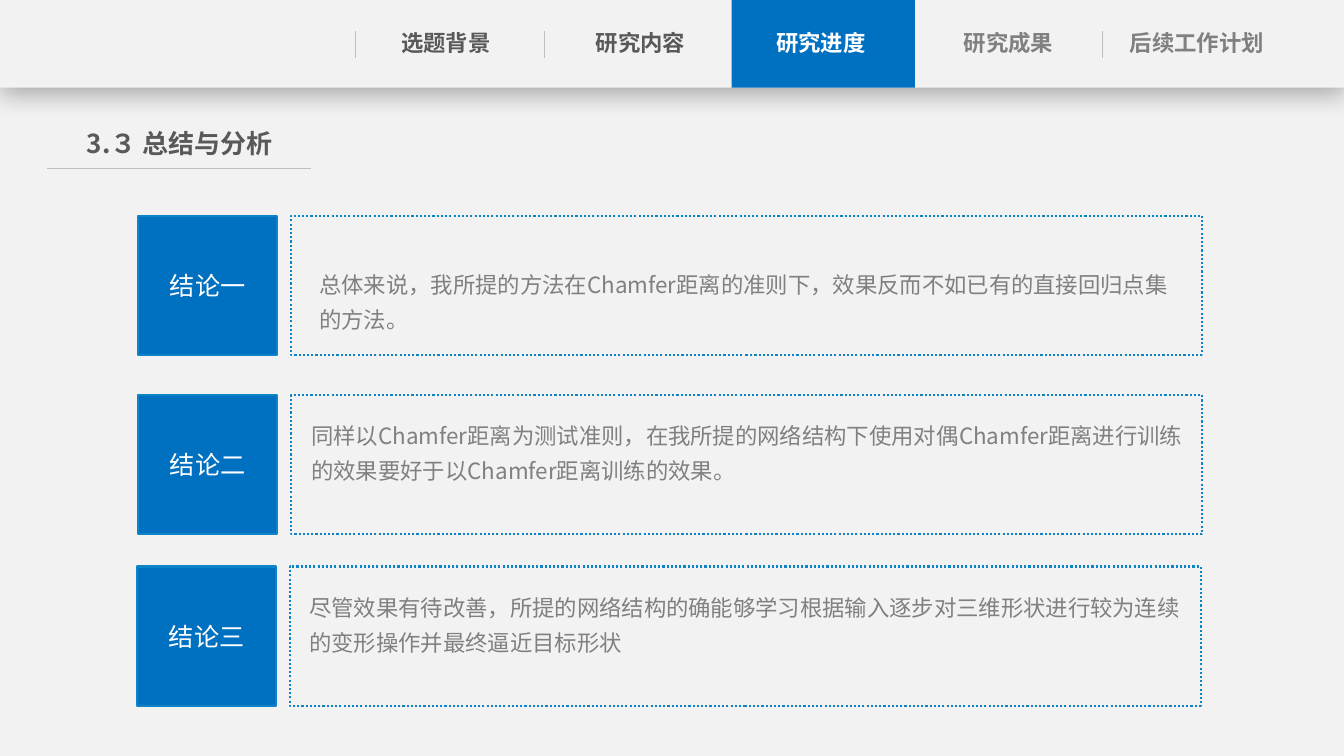
from dataclasses import dataclass

from lxml.etree import SubElement
from pptx import Presentation
from pptx.dml.color import RGBColor as Rgb
from pptx.enum.dml import MSO_LINE as Dash
from pptx.enum.shapes import MSO_CONNECTOR as Connector, MSO_SHAPE as Preset
from pptx.enum.text import MSO_ANCHOR as Anchor, MSO_AUTO_SIZE as AutoSize, PP_ALIGN as Align
from pptx.oxml.ns import qn
from pptx.util import Pt


@dataclass(frozen=True)
class Theme:
    font: str = "Noto Sans CJK SC"
    paper: str = "F2F2F2"
    blue: str = "0070C0"
    edge: str = "0D84C8"
    rule: str = "BFBFBF"
    dark: str = "595959"
    gray: str = "808080"
    white: str = "FFFFFF"
    shadow: str = "000000"
    title_size: float = 18.6
    label_size: float = 18
    text_size: float = 16


@dataclass(frozen=True)
class Box:
    left: float
    top: float
    width: float
    height: float

    def lengths(self) -> tuple:
        return Pt(self.left), Pt(self.top), Pt(self.width), Pt(self.height)


@dataclass(frozen=True)
class Tab:
    name: str
    left: float
    width: float
    color: str


@dataclass(frozen=True)
class Conclusion:
    label: str
    text: str
    left: float
    frame_left: float
    top: float
    text_box: Box


THEME = Theme()
SLIDE_WIDTH, SLIDE_HEIGHT = 960, 540
NAV_HEIGHT = 62.64
CARD_SIDE = 99.36
FRAME_WIDTH = 650.88

TABS = [
    Tab("选题背景", 265.68, 105.84, THEME.dark),
    Tab("研究内容", 397.44, 120.24, THEME.dark),
    Tab("研究进度", 533.52, 105.84, THEME.white),
    Tab("研究成果", 667.44, 105.84, THEME.gray),
    Tab("后续工作计划", 802.08, 105.84, THEME.gray),
]
TAB_DIVIDERS = [254.16, 388.8, 787.68]

CONCLUSIONS = [
    Conclusion(
        "结论一",
        "总体来说，我所提的方法在Chamfer距离的准则下，效果反而不如已有的直接回归点集的方法。",
        98.64, 207.9, 154.08, Box(221.04, 184.32, 629.28, 57.6)),
    Conclusion(
        "结论二",
        "同样以Chamfer距离为测试准则，在我所提的网络结构下使用对偶Chamfer距离进行训练的效果要好于以Chamfer距离训练的效果。",
        98.64, 207.9, 282.24, Box(215.28, 292.32, 637.2, 57.6)),
    Conclusion(
        "结论三",
        "尽管效果有待改善，所提的网络结构的确能够学习根据输入逐步对三维形状进行较为连续的变形操作并最终逼近目标形状",
        97.92, 206.9, 404.64, Box(213.84, 415.44, 637.2, 57.6)),
]


def write(shape, text: str, size: float, color: str, bold: bool = False,
          align=Align.CENTER, anchor=Anchor.TOP, side_inset: float = 0,
          spacing: float = 1.0) -> None:
    frame = shape.text_frame
    frame.text = text
    frame.word_wrap = True
    frame.auto_size = AutoSize.NONE
    frame.vertical_anchor = anchor
    frame.margin_left = frame.margin_right = Pt(side_inset)
    frame.margin_top = frame.margin_bottom = Pt(3.6)
    paragraph = frame.paragraphs[0]
    paragraph.alignment = align
    paragraph.line_spacing = spacing
    for run in paragraph.runs:
        font = run.font
        font.size = Pt(size)
        font.bold = bold
        font.color.rgb = Rgb.from_string(color)
        font.name = THEME.font
        SubElement(font._element, qn("a:ea"), typeface=THEME.font)


def add_rect(slide, box: Box, fill: str | None = None, edge: str | None = None,
             dotted: bool = False):
    rect = slide.shapes.add_shape(Preset.RECTANGLE, *box.lengths())
    rect.shadow.inherit = False
    if fill:
        rect.fill.solid()
        rect.fill.fore_color.rgb = Rgb.from_string(fill)
    else:
        rect.fill.background()
    if edge:
        rect.line.color.rgb = Rgb.from_string(edge)
        rect.line.width = Pt(1.5)
        if dotted:
            rect.line.dash_style = Dash.ROUND_DOT
    else:
        rect.line.fill.background()
    return rect


def add_rule(slide, x1: float, y1: float, x2: float, y2: float) -> None:
    rule = slide.shapes.add_connector(Connector.STRAIGHT, Pt(x1), Pt(y1), Pt(x2), Pt(y2))
    rule.line.color.rgb = Rgb.from_string(THEME.rule)
    rule.line.width = Pt(0.5)
    SubElement(rule._element.spPr, qn("a:effectLst"))


def cast_shadow(shape) -> None:
    effects = shape._element.spPr.find(qn("a:effectLst"))
    shadow = SubElement(effects, qn("a:outerShdw"), blurRad=str(Pt(18)), dist=str(Pt(4)),
                        dir="5400000", algn="t", rotWithShape="0")
    color = SubElement(shadow, qn("a:srgbClr"), val=THEME.shadow)
    SubElement(color, qn("a:alpha"), val="29000")


def add_heading(slide) -> None:
    title = slide.shapes.title
    title.left, title.top, title.width, title.height = Box(54, 87.12, 149.04, 30.24).lengths()
    write(title, "3.３ 总结与分析", THEME.title_size, THEME.dark, bold=True)
    add_rule(slide, 33.84, 120.24, 222.48, 120.24)


def add_navigation(slide) -> None:
    bar = add_rect(slide, Box(0, 0, SLIDE_WIDTH, NAV_HEIGHT), THEME.paper)
    cast_shadow(bar)
    add_rect(slide, Box(522.5, 0, 131.04, NAV_HEIGHT), THEME.blue)
    for x in TAB_DIVIDERS:
        add_rule(slide, x, 22.32, x, 41.76)
    for tab in TABS:
        caption = slide.shapes.add_textbox(*Box(tab.left, 17.28, tab.width, 27.36).lengths())
        write(caption, tab.name, THEME.text_size, tab.color, bold=True)


def add_conclusion(slide, item: Conclusion) -> None:
    card = add_rect(slide, Box(item.left, item.top, CARD_SIDE, CARD_SIDE),
                    THEME.blue, THEME.edge)
    write(card, item.label, THEME.label_size, THEME.white, anchor=Anchor.MIDDLE, side_inset=7.2)
    add_rect(slide, Box(item.frame_left, item.top, FRAME_WIDTH, CARD_SIDE),
             edge=THEME.edge, dotted=True)
    statement = slide.shapes.add_textbox(*item.text_box.lengths())
    write(statement, item.text, THEME.text_size, THEME.gray, align=Align.LEFT,
          side_inset=7.2, spacing=1.3)


def main() -> None:
    deck = Presentation()
    deck.slide_width, deck.slide_height = Pt(SLIDE_WIDTH), Pt(SLIDE_HEIGHT)
    slide = deck.slides.add_slide(deck.slide_layouts.get_by_name("Title Only"))
    slide.background.fill.solid()
    slide.background.fill.fore_color.rgb = Rgb.from_string(THEME.paper)
    add_heading(slide)
    add_navigation(slide)
    for item in CONCLUSIONS:
        add_conclusion(slide, item)
    deck.save("out.pptx")


if __name__ == "__main__":
    main()
